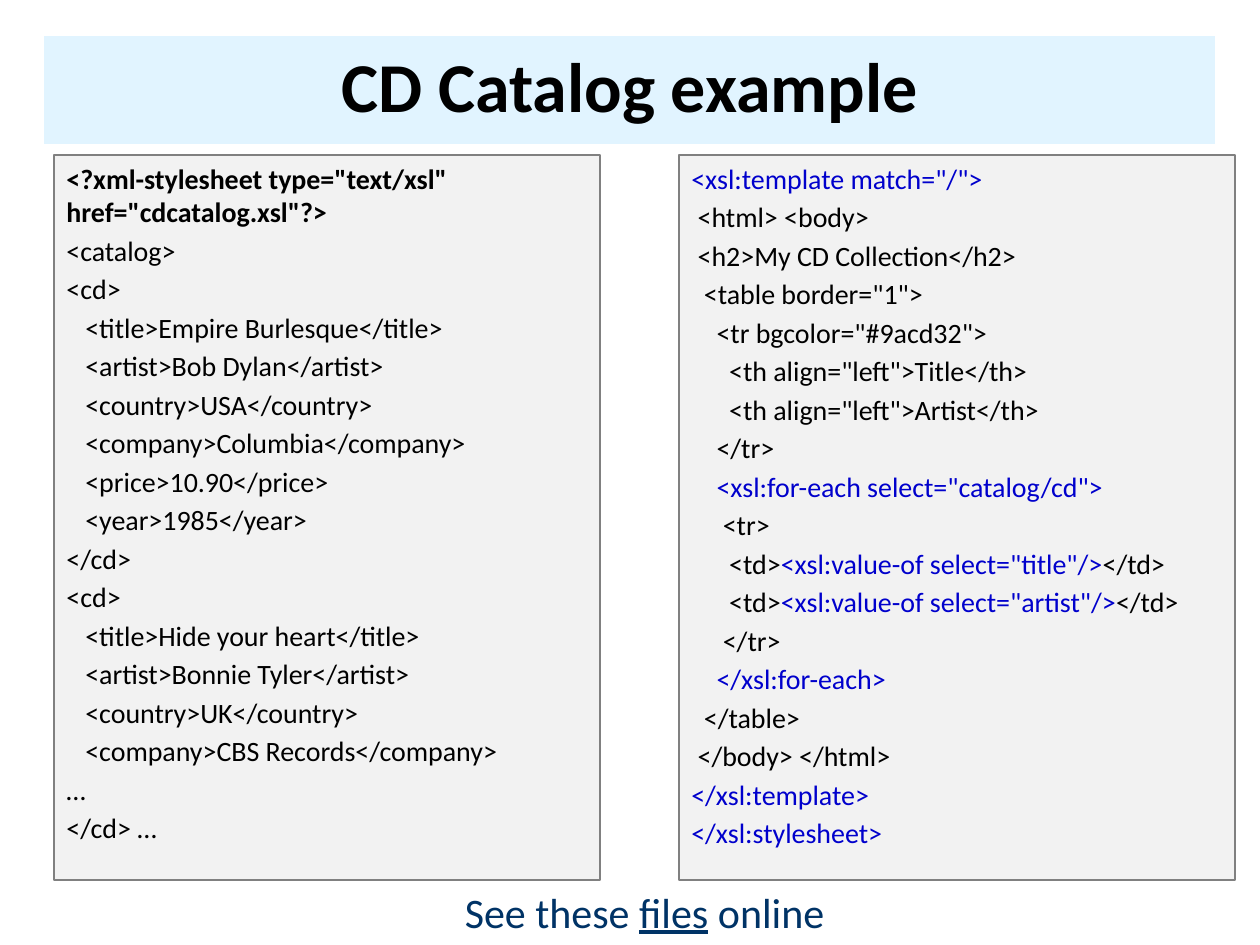
from pptx import Presentation
from pptx.dml.color import RGBColor
from pptx.enum.shapes import MSO_SHAPE
from pptx.enum.text import MSO_ANCHOR, PP_ALIGN
from pptx.util import Emu, Pt

FONT = "Calibri"
BLACK, BLUE, NAVY = "000000", "0000CC", "003366"


def px(length):
    return Emu(round(length * 914400 / 126))


def paint(color_format, color):
    color_format.rgb = RGBColor.from_string(color)


# "|" switches between black and blue text; "*" starts a bold line
xml_lines = """\
*<?xml-stylesheet type="text/xsl" href="cdcatalog.xsl"?>
<catalog>
<cd>
   <title>Empire Burlesque</title>
   <artist>Bob Dylan</artist>
   <country>USA</country>
   <company>Columbia</company>
   <price>10.90</price>
   <year>1985</year>
</cd>
<cd>
   <title>Hide your heart</title>
   <artist>Bonnie Tyler</artist>
   <country>UK</country>
   <company>CBS Records</company>
…
</cd> …""".split("\n")

xsl_lines = """\
|<xsl:template match="/">
 <html> <body>
 <h2>My CD Collection</h2>
  <table border="1">
    <tr bgcolor="#9acd32">
      <th align="left">Title</th>
      <th align="left">Artist</th>
    </tr>
    |<xsl:for-each select="catalog/cd">
     <tr>
      <td>|<xsl:value-of select="title"/>|</td>
      <td>|<xsl:value-of select="artist"/>|</td>
     </tr>
    |</xsl:for-each>
  </table>
 </body> </html>
|</xsl:template>
|</xsl:stylesheet>""".split("\n")

deck = Presentation()
deck.slide_width, deck.slide_height = px(1260), px(945)
page = deck.slides.add_slide(deck.slide_layouts[5])

# Title band
title = page.shapes.title
title.left, title.top, title.width, title.height = px(44), px(36), px(1171), px(108)
title.fill.solid()
paint(title.fill.fore_color, "E1F4FF")
title.text_frame.text = "CD Catalog example"
title.text_frame.vertical_anchor = MSO_ANCHOR.MIDDLE
para = title.text_frame.paragraphs[0]
para.alignment = PP_ALIGN.CENTER
para.line_spacing = 0.9
para.font.name, para.font.size, para.font.bold = FONT, Pt(40), True
paint(para.font.color, BLACK)

# Code panels
for left, width, lines in ((54, 546, xml_lines), (679, 556, xsl_lines)):
    panel = page.shapes.add_shape(
        MSO_SHAPE.RECTANGLE, px(left), px(155), px(width), px(725))
    panel.shadow.inherit = False
    panel.fill.solid()
    paint(panel.fill.fore_color, "F2F2F2")
    paint(panel.line.color, "808080")
    panel.line.width = Pt(0.75)
    frame = panel.text_frame
    frame.word_wrap = True
    frame.vertical_anchor = MSO_ANCHOR.TOP
    for row, line in enumerate(lines):
        para = frame.add_paragraph() if row else frame.paragraphs[0]
        para.alignment = PP_ALIGN.LEFT
        para.space_before = Pt(2.8 if row else 0)
        para.font.name, para.font.size = FONT, Pt(16)
        para.font.bold = line.startswith("*")
        for part, text in enumerate(line.lstrip("*").split("|")):
            if text:
                span = para.add_run()
                span.text = text
                paint(span.font.color, BLUE if part % 2 else BLACK)

# Closing note
note = page.shapes.add_textbox(px(54), px(880), px(1181), px(64))
note.text_frame.word_wrap = True
para = note.text_frame.paragraphs[0]
para.alignment = PP_ALIGN.CENTER
para.font.name, para.font.size = FONT, Pt(24)
paint(para.font.color, NAVY)
for text in ("See these ", "files", " online"):
    span = para.add_run()
    span.text = text
    if text == "files":
        span.font.underline = True

deck.save("out.pptx")
